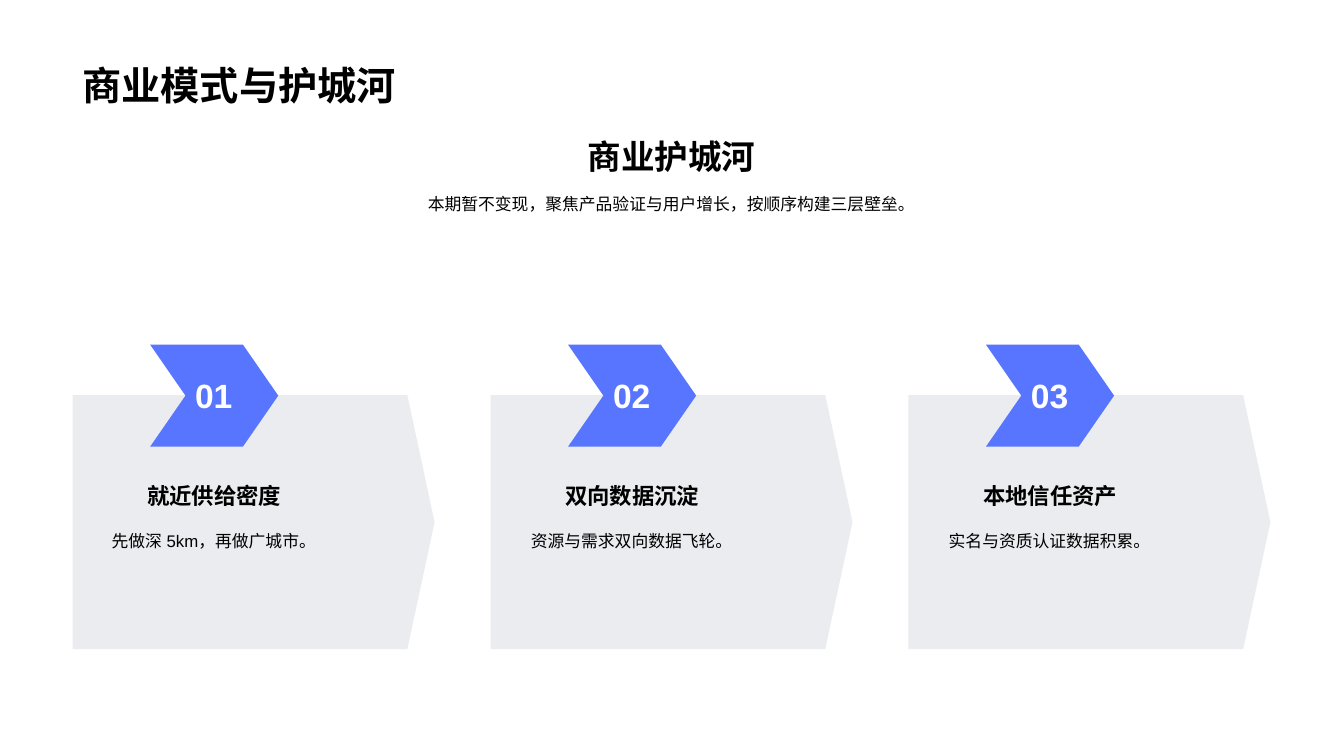
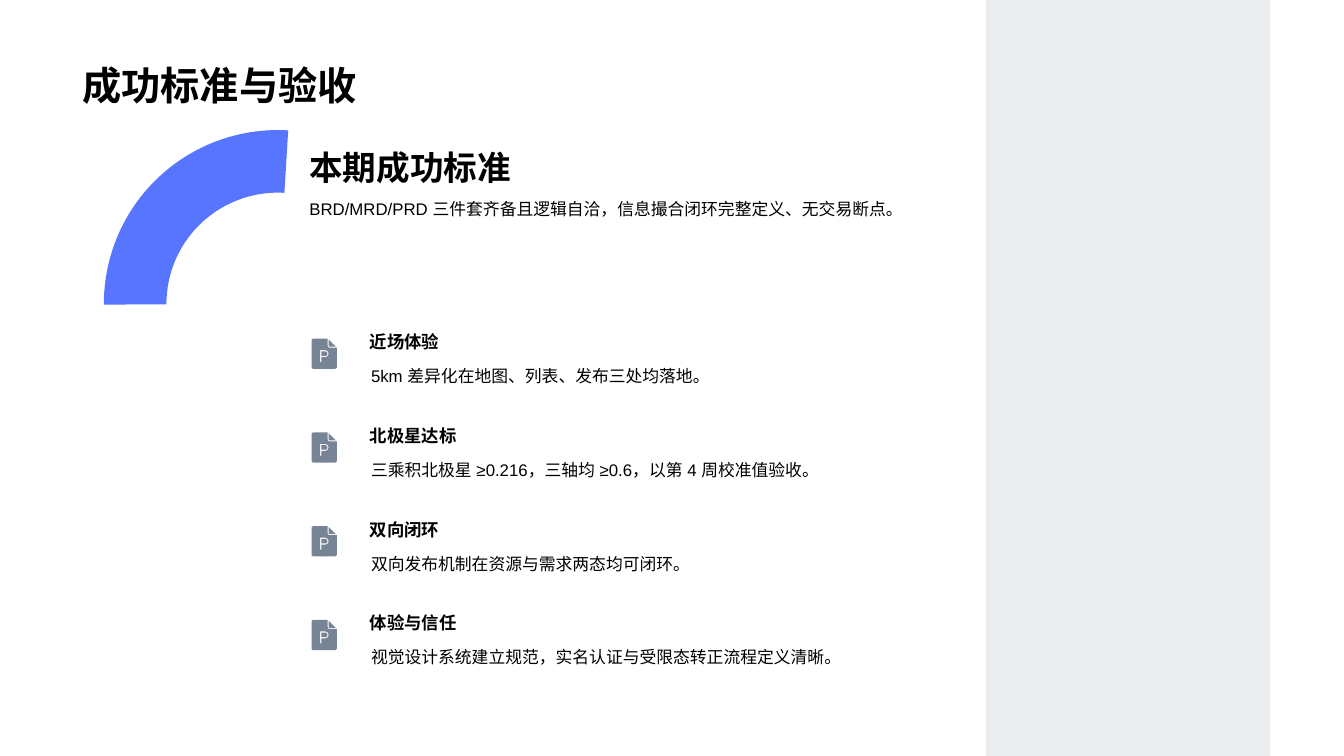
from lxml.etree import SubElement
from pptx import Presentation
from pptx.dml.color import RGBColor
from pptx.enum.lang import MSO_LANGUAGE_ID
from pptx.enum.shapes import MSO_SHAPE
from pptx.enum.text import MSO_ANCHOR, PP_ALIGN
from pptx.oxml.ns import qn
from pptx.util import Inches, Pt

# Shared style
FONT = "Arial"
BLACK, WHITE, BLUE, SLATE = "000000", "FFFFFF", "5775FF", "778495"
LEFT, CONTENT_WIDTH = 0.72, 11.88
PALE = 15  # opacity of slate panels, in percent


def paint(shape, color, opacity=100):
    shape.shadow.inherit = False
    shape.line.fill.background()
    shape.fill.solid()
    shape.fill.fore_color.rgb = RGBColor.from_string(color)
    if opacity < 100:
        srgb = shape.fill._xPr.find(f"{qn('a:solidFill')}/{qn('a:srgbClr')}")
        SubElement(srgb, qn("a:alpha"), val=str(opacity * 1000))


def add_text(slide, text, box, size, bold=False, color=BLACK, align=PP_ALIGN.LEFT,
             anchor=MSO_ANCHOR.TOP, spacing=None, margins=(0.1, 0.05)):
    frame = slide.shapes.add_textbox(*map(Inches, box)).text_frame
    frame.word_wrap = True
    frame.vertical_anchor = anchor
    frame.margin_left = frame.margin_right = Inches(margins[0])
    frame.margin_top = frame.margin_bottom = Inches(margins[1])
    paragraph = frame.paragraphs[0]
    paragraph.alignment = align
    paragraph.line_spacing = spacing
    run = paragraph.add_run()
    run.text = text
    run.font.size = Pt(size)
    run.font.bold = bold
    run.font.color.rgb = RGBColor.from_string(color)
    run.font.language_id = MSO_LANGUAGE_ID.SIMPLIFIED_CHINESE
    run.font.name = FONT
    SubElement(run._r.get_or_add_rPr(), qn("a:ea"), typeface=FONT)


prs = Presentation()
prs.slide_width, prs.slide_height = Inches(13.33), Inches(7.5)

# Slides with their titles
slides = []
for title in ("商业模式与护城河", "成功标准与验收"):
    slide = prs.slides.add_slide(prs.slide_layouts[6])
    add_text(slide, title, (LEFT, 0, CONTENT_WIDTH, 1.12), 28, bold=True,
             anchor=MSO_ANCHOR.BOTTOM)
    slides.append(slide)
moat, criteria = slides

# Slide 1: heading and summary
add_text(moat, "商业护城河", (LEFT, 1.3, CONTENT_WIDTH, 0.5), 24, bold=True,
         align=PP_ALIGN.CENTER, anchor=MSO_ANCHOR.BOTTOM)
add_text(moat, "本期暂不变现，聚焦产品验证与用户增长，按顺序构建三层壁垒。",
         (LEFT, 1.83, CONTENT_WIDTH, 0.32), 12, align=PP_ALIGN.CENTER, spacing=1.2)

# Slide 1: three numbered layers
layers = [
    ("就近供给密度", "先做深 5km，再做广城市。"),
    ("双向数据沉淀", "资源与需求双向数据飞轮。"),
    ("本地信任资产", "实名与资质认证数据积累。"),
]
card_width = 3.59
card_pitch = (CONTENT_WIDTH - card_width) / (len(layers) - 1)
for index, (name, detail) in enumerate(layers):
    x = LEFT + index * card_pitch
    card = moat.shapes.add_shape(MSO_SHAPE.PENTAGON, Inches(x), Inches(3.92),
                                 Inches(card_width), Inches(2.52))
    card.adjustments[0] = 0.27 / 2.52
    paint(card, SLATE, PALE)
    badge = moat.shapes.add_shape(MSO_SHAPE.CHEVRON, Inches(x + 0.77), Inches(3.42),
                                  Inches(1.27), Inches(1.01))
    badge.adjustments[0] = 0.35 / 1.01
    paint(badge, BLUE)
    add_text(moat, name, (x + 0.31, 4.7, 2.19, 0.4), 16, bold=True,
             align=PP_ALIGN.CENTER, anchor=MSO_ANCHOR.BOTTOM)
    add_text(moat, detail, (x, 5.18, 2.8, 0.32), 12, align=PP_ALIGN.CENTER, spacing=1.2)
    add_text(moat, f"{index + 1:02}", (x + 1.11, 3.67, 0.58, 0.5), 24, bold=True,
             color=WHITE, align=PP_ALIGN.CENTER, anchor=MSO_ANCHOR.BOTTOM)

# Slide 2: arc and side panel
arc = criteria.shapes.add_shape(MSO_SHAPE.BLOCK_ARC, Inches(1.03), Inches(1.29),
                                Inches(3.45), Inches(3.45))
for position, degrees in enumerate((179.78, 273.44)):
    arc.adjustments[position] = degrees * 0.6  # 60000 units per degree, scaled by 100000
arc.adjustments[2] = 0.18
paint(arc, BLUE)
panel = criteria.shapes.add_shape(MSO_SHAPE.RECTANGLE, Inches(9.78), 0,
                                  Inches(2.82), prs.slide_height)
paint(panel, SLATE, PALE)

# Slide 2: heading and summary
add_text(criteria, "本期成功标准", (2.97, 1.41, 7.4, 0.5), 24, bold=True,
         anchor=MSO_ANCHOR.MIDDLE)
add_text(criteria, "BRD/MRD/PRD 三件套齐备且逻辑自洽，信息撮合闭环完整定义、无交易断点。",
         (2.97, 1.88, 6.28, 0.32), 12, spacing=1.2)

# Document icon outlines, in hundredths of an inch
page = [(2, 0), (16, 0), (16, 7), (16.5, 8.5), (18, 9), (25, 9), (25, 28.5),
        (24.5, 29.5), (23, 30), (2, 30), (0.5, 29.5), (0, 28.5), (0, 1.5), (0.5, 0.5)]
fold = [(17, 1), (24, 8), (18, 8), (17.3, 7.7), (17, 7)]
letter = [(8.5, 11.5), (14, 11.5), (16, 12.5), (17, 15), (16, 17.3), (14, 18.3),
          (9.7, 18.3), (9.7, 23.3), (8.5, 23.3)]
letter_hole = [(9.7, 12.7), (14, 12.7), (15.3, 13.4), (15.8, 15), (15.3, 16.5),
               (14, 17.2), (9.7, 17.2)]

# Slide 2: four criteria
checks = [
    ("近场体验", "5km 差异化在地图、列表、发布三处均落地。"),
    ("北极星达标", "三乘积北极星 ≥0.216，三轴均 ≥0.6，以第 4 周校准值验收。"),
    ("双向闭环", "双向发布机制在资源与需求两态均可闭环。"),
    ("体验与信任", "视觉设计系统建立规范，实名认证与受限态转正流程定义清晰。"),
]
for index, (name, detail) in enumerate(checks):
    y = 3.36 + index * 0.93
    contours = [[(Inches(3.09 + px / 100), Inches(y + py / 100)) for px, py in outline]
                for outline in (page, fold, letter, letter_hole)]
    builder = criteria.shapes.build_freeform(*contours[0][0])
    builder.add_line_segments(contours[0][1:], close=True)
    for contour in contours[1:]:
        builder.move_to(*contour[0])
        builder.add_line_segments(contour[1:], close=True)
    paint(builder.convert_to_shape(), SLATE)
    add_text(criteria, detail, (3.44, y, 5.06, 0.7), 12, anchor=MSO_ANCHOR.MIDDLE,
             spacing=1.2, margins=(0.24, 0.12))
    add_text(criteria, name, (3.57, y - 0.11, 1.93, 0.29), 12.4, bold=True,
             anchor=MSO_ANCHOR.BOTTOM, spacing=0.8)

prs.save("out.pptx")
